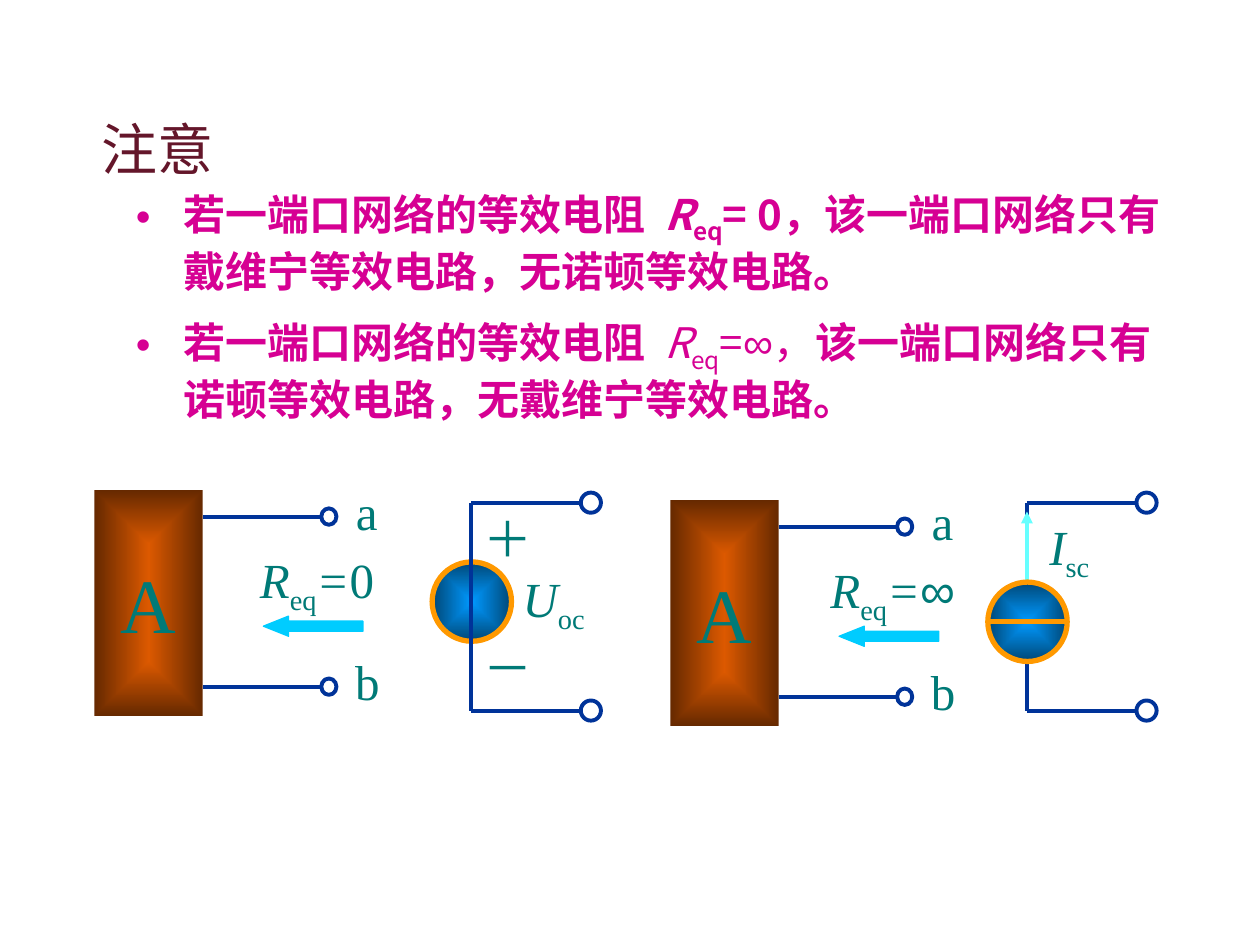
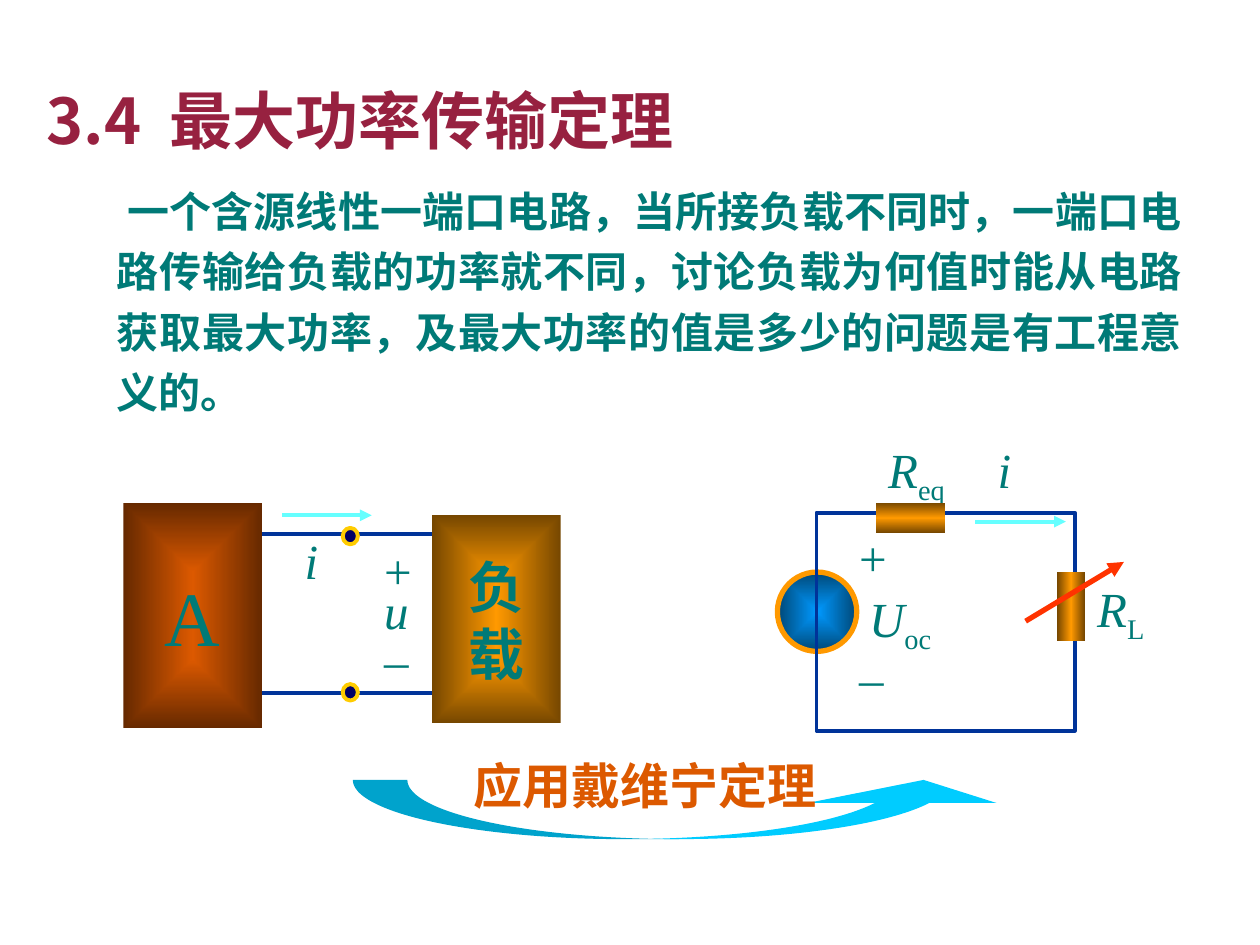
"""Build two circuit theory slides: Thevenin limits and maximum power transfer."""
from lxml import etree
from pptx import Presentation
from pptx.dml.color import RGBColor
from pptx.enum.shapes import MSO_CONNECTOR, MSO_SHAPE
from pptx.enum.text import MSO_ANCHOR, PP_ALIGN
from pptx.oxml import parse_xml
from pptx.oxml.ns import nsdecls, qn
from pptx.util import Emu, Inches, Pt

RECT, OVAL = MSO_SHAPE.RECTANGLE, MSO_SHAPE.OVAL
LEFT_ARROW, CURVED_ARROW = MSO_SHAPE.LEFT_ARROW, MSO_SHAPE.CURVED_UP_ARROW
STRAIGHT = MSO_CONNECTOR.STRAIGHT
LEFT, CENTER, JUSTIFY = PP_ALIGN.LEFT, PP_ALIGN.CENTER, PP_ALIGN.JUSTIFY
TOP, MIDDLE = MSO_ANCHOR.TOP, MSO_ANCHOR.MIDDLE

WIDTH, HEIGHT = Inches(10), Inches(7.5)
COLUMNS = 100
CELL = WIDTH / COLUMNS
SERIF, SANS, HAN = "Times New Roman", "Arial", "Noto Sans CJK SC"
COLORS = {
    "label": "007A77", "note": "64162A", "title": "972140", "rule": "D60093",
    "wire": "003399", "current": "66FFFF", "arrow": "00CCFF", "ring": "FF9900",
    "dot": "000066", "dot ring": "FFCC00", "variable": "FF3300",
    "caption": "DC5900", "shadow": "808080",
}
GRADIENTS = {
    "network": (("DC5900", "662900"), None),
    "load": (("FF9900", "764700"), None),
    "source": (("0099FF", "004776"), None),
    "flat resistor": (("764700", "FF9900", "764700"), 90),
    "upright resistor": (("764700", "FF9900", "764700"), 0),
}

# Span flags: b bold, i italic, _ subscript, a Arial, w wide space.
NOTE = "注意"
RULES = [
    (19.2, [("若一端口网络的等效电阻", "b"), (" ", "bw"), ("R", "bi"), ("eq", "b_"),
            ("= 0，该一端口网络只有戴维宁等效电路，无诺顿等效电路。", "b")]),
    (29.4, [("若一端口网络的等效电阻", "b"), (" ", "bw"), ("R", "i"), ("eq", "_"),
            ("=", ""), ("∞", "a"), ("，", ""),
            ("该一端口网络只有诺顿等效电路，无戴维宁等效电路。", "b")]),
]
NETWORKS = [(0, 0, ("0", "")), (45.7, 0.8, ("∞", "a"))]
TITLE = [("3.4", "b"), (" ", "bw"), ("最大功率传输定理", "b")]
BODY = ("一个含源线性一端口电路，当所接负载不同时，一端口电路传输给负载的功率就不同，"
        "讨论负载为何值时能从电路获取最大功率，及最大功率的值是多少的问题是有工程意义的。")
CAPTION = "应用戴维宁定理"
SOURCE_LABELS = [
    ((37.4, 39.9, 4.9, 5.7), [("＋", "a")]),
    ((37.4, 50.1, 6.6, 5.7), [("－", "a")]),
    ((40.5, 44.6, 8.7, 6.3), [("U", "i"), ("oc", "_")]),
    ((82.3, 40.5, 5.5, 6.3), [("I", "i"), ("sc", "_")]),
]
POWER_LABELS = [
    ((23.2, 41.6, 4.2, 5.7), [("i", "i")]),
    ((29.5, 42.4, 3.3, 5.7), [("+", "")]),
    ((29.5, 45.6, 5, 5.7), [("u", "i")]),
    ((29.5, 49.5, 4.2, 5.7), [("–", "")]),
    ((78.2, 34.4, 5.2, 5.7), [("i", "i")]),
    ((67.2, 41.4, 4.1, 5.7), [("+", "")]),
    ((68, 46.2, 9.3, 6.3), [("U", "i"), ("oc", "_")]),
    ((67.2, 50.9, 5.2, 5.7), [("–", "")]),
    ((69.5, 34.4, 7.2, 6.3), [("R", "i"), ("eq", "_")]),
    ((86.1, 45.4, 7.2, 6.3), [("R", "i"), ("L", "_")]),
]


def cells(*values):
    """Turn grid cells into lengths."""
    return [Emu(round(value * CELL)) for value in values]


def style_span(span, flags, size, color, font, shadow):
    """Format one run from its flags."""
    span.font.size = Pt(size)
    span.font.bold = "b" in flags
    span.font.italic = "i" in flags
    span.font.color.rgb = RGBColor.from_string(COLORS[color])
    span.font.name = SANS if "a" in flags else font
    props = span.font._element
    east = etree.Element(qn("a:ea"), typeface=HAN)
    props.find(qn("a:latin")).addnext(east)
    if "_" in flags:
        props.set("baseline", "-25000")
    if "w" in flags:
        props.set("spc", str(size * 22))
    if shadow:
        props.find(qn("a:solidFill")).addnext(parse_xml(
            f'<a:effectLst {nsdecls("a")}><a:outerShdw dist="25400" dir="2700000">'
            f'<a:srgbClr val="{COLORS["shadow"]}"/></a:outerShdw></a:effectLst>'))


def write(box, paragraphs, size=28, color="label", font=SERIF, align=LEFT,
          anchor=TOP, shadow=False):
    """Fill a shape with paragraphs of flagged spans."""
    frame = box.text_frame
    frame.word_wrap = align != CENTER
    frame.vertical_anchor = anchor
    for index, spans in enumerate(paragraphs):
        para = frame.add_paragraph() if index else frame.paragraphs[0]
        para.alignment = align
        for text, flags in spans:
            span = para.add_run()
            span.text = text
            style_span(span, flags, size, color, font, shadow)
    return frame.paragraphs[0]


def add_text(page, place, spans, **style):
    """Add a text box of one paragraph."""
    return write(page.shapes.add_textbox(*cells(*place)), [spans], **style)


def add_part(page, kind, place, fill=None, line=None, weight=2.25):
    """Add a preset shape with a plain, gradient or empty fill."""
    part = page.shapes.add_shape(kind, *cells(*place))
    part.shadow.inherit = False
    if fill in GRADIENTS:
        colors, angle = GRADIENTS[fill]
        last = len(colors) - 1
        stops = "".join(f'<a:gs pos="{100000 * n // last}"><a:srgbClr val="{color}"/></a:gs>'
                        for n, color in enumerate(colors))
        if angle is None:
            course = ('<a:path path="rect"><a:fillToRect l="50000" t="50000" '
                      'r="50000" b="50000"/></a:path>')
        else:
            course = f'<a:lin ang="{angle * 60000}" scaled="0"/>'
        part._element.spPr.find(qn("a:prstGeom")).addnext(parse_xml(
            f'<a:gradFill {nsdecls("a")}><a:gsLst>{stops}</a:gsLst>{course}</a:gradFill>'))
    elif fill:
        part.fill.solid()
        part.fill.fore_color.rgb = RGBColor.from_string(COLORS[fill])
    else:
        part.fill.background()
    if line:
        part.line.color.rgb = RGBColor.from_string(COLORS[line])
        part.line.width = Pt(weight)
    else:
        part.line.fill.background()
    return part


def add_line(page, ends, color="wire", weight=2.25, arrow=False):
    """Add a straight line, with an arrowhead at its end if asked."""
    line = page.shapes.add_connector(STRAIGHT, *cells(*ends))
    line.line.color.rgb = RGBColor.from_string(COLORS[color])
    line.line.width = Pt(weight)
    if arrow:
        etree.SubElement(line.line._get_or_add_ln(), qn("a:tailEnd"), type="triangle")
    etree.SubElement(line._element.spPr, qn("a:effectLst"))


def add_block(page, place, fill, rows, **style):
    """Add a gradient block with centred text."""
    write(add_part(page, RECT, place, fill), rows, align=CENTER, anchor=MIDDLE, **style)


def add_source(page, left, top):
    """Add the round body of a source."""
    add_part(page, OVAL, (left, top, 6.3, 6.3), "source", "ring", 3)


def add_network(page, dx, dy, value):
    """Add network A with its two terminals and equivalent resistance."""
    for name, row in (("a", 41), ("b", 54.5)):
        y = row + dy
        add_line(page, (16.1 + dx, y, 25.5 + dx, y))
        add_part(page, OVAL, (25.5 + dx, y - 0.65, 1.2, 1.3), line="wire")
        add_text(page, (27.2 + dx, y - 3.3, 3.8, 5.7), [(name, "")],
                 align=CENTER, anchor=MIDDLE)
    add_block(page, (7.5 + dx, 38.9 + dy, 8.6, 17.9), "network", [[("A", "")]], size=44)
    arrow = add_part(page, LEFT_ARROW, (20.9 + dx, 48.9 + dy, 7.9, 1.6),
                     "arrow", "arrow", 0.75)
    arrow.adjustments[1] = 1.25
    add_text(page, (17.7 + dx, 43.1 + dy, 14.9, 6.3),
             [("R", "i"), ("eq", "_"), ("=", "i"), value], align=CENTER, anchor=MIDDLE)


def add_open_branch(page, x):
    """Add the upright wire with its two open terminals."""
    add_line(page, (x, 39.9, x, 56.4))
    for y in (39.9, 56.4):
        add_line(page, (x, y, x + 8.7, y))
        add_part(page, OVAL, (x + 8.7, y - 0.8, 1.6, 1.6), line="wire")


def add_bullet(para):
    """Give a paragraph a hanging round bullet."""
    props = para._p.get_or_add_pPr()
    props.set("marL", str(Inches(0.38)))
    props.set("indent", str(-Inches(0.38)))
    color = etree.SubElement(props, qn("a:buClr"))
    etree.SubElement(color, qn("a:srgbClr"), val=COLORS["rule"])
    etree.SubElement(props, qn("a:buFont"), typeface=SANS)
    etree.SubElement(props, qn("a:buChar"), char="•")


def build_limits(page):
    """Slide on the networks that have only one equivalent."""
    add_text(page, (7.1, 8.6, 12, 6.4), [(NOTE, "")], size=32, color="note", font=SANS)
    for middle, spans in RULES:
        add_bullet(add_text(page, (9.8, middle - 4.8, 85.1, 9.6), spans, size=24,
                            color="rule", font=HAN, anchor=MIDDLE))
    for network in NETWORKS:
        add_network(page, *network)
    add_source(page, 34.3, 44.6)
    for x in (37.4, 81.5):
        add_open_branch(page, x)
    add_line(page, (81.5, 46.2, 81.5, 40.6), "current", arrow=True)
    add_source(page, 78.4, 46.2)
    add_line(page, (78.4, 49.3, 84.6, 49.3), "ring", 3)
    for place, spans in SOURCE_LABELS:
        add_text(page, place, spans)


def build_power(page):
    """Slide on the maximum power transfer theorem."""
    add_text(page, (2.7, 6, 70.1, 7), TITLE, size=36, color="title", font=HAN, shadow=True)
    body = add_text(page, (8.3, 13.4, 86.5, 20.2), [(BODY, "b")], size=24,
                    font=HAN, align=JUSTIFY)
    body.line_spacing = 1.2
    body._p.get_or_add_pPr().set("indent", str(Inches(0.08)))
    for wire, dot in ((42.4, 41.9), (55, 54.3)):
        add_line(page, (19.3, wire, 35, wire))
        add_part(page, OVAL, (27.2, dot, 1.2, 1.3), "dot", "dot ring")
    add_line(page, (22.4, 40.9, 29.5, 40.9), "current", arrow=True)
    add_block(page, (9.8, 39.9, 11, 17.9), "network", [[("A", "")]], size=44)
    add_block(page, (34.3, 40.9, 10.2, 16.5), "load",
              [[("负", "b")], [("载", "b")]], size=32, font=SANS)
    swoosh = add_part(page, CURVED_ARROW, (28, 61.9, 52.8, 4.7), "arrow")
    for index, share in enumerate((0.92, 3.19, 0.39)):
        swoosh.adjustments[index] = share
    add_text(page, (36.6, 59.5, 33.1, 5.7), [(CAPTION, "b")], color="caption", font=SANS)
    add_source(page, 61.7, 45.4)
    add_part(page, RECT, (64.8, 40.7, 20.5, 17.3), line="wire")
    add_line(page, (77.4, 41.4, 84.6, 41.4), "current", arrow=True)
    for place, spans in POWER_LABELS:
        add_text(page, place, spans)
    add_part(page, RECT, (69.5, 39.9, 5.5, 2.4), "flat resistor")
    add_part(page, RECT, (83.9, 45.4, 2.2, 5.5), "upright resistor")
    add_line(page, (81.4, 49.3, 89.2, 44.6), "variable", 3, arrow=True)


def main():
    """Build and save the deck."""
    deck = Presentation()
    deck.slide_width, deck.slide_height = WIDTH, HEIGHT
    for build in (build_limits, build_power):
        build(deck.slides.add_slide(deck.slide_layouts[6]))
    deck.save("out.pptx")


if __name__ == "__main__":
    main()
